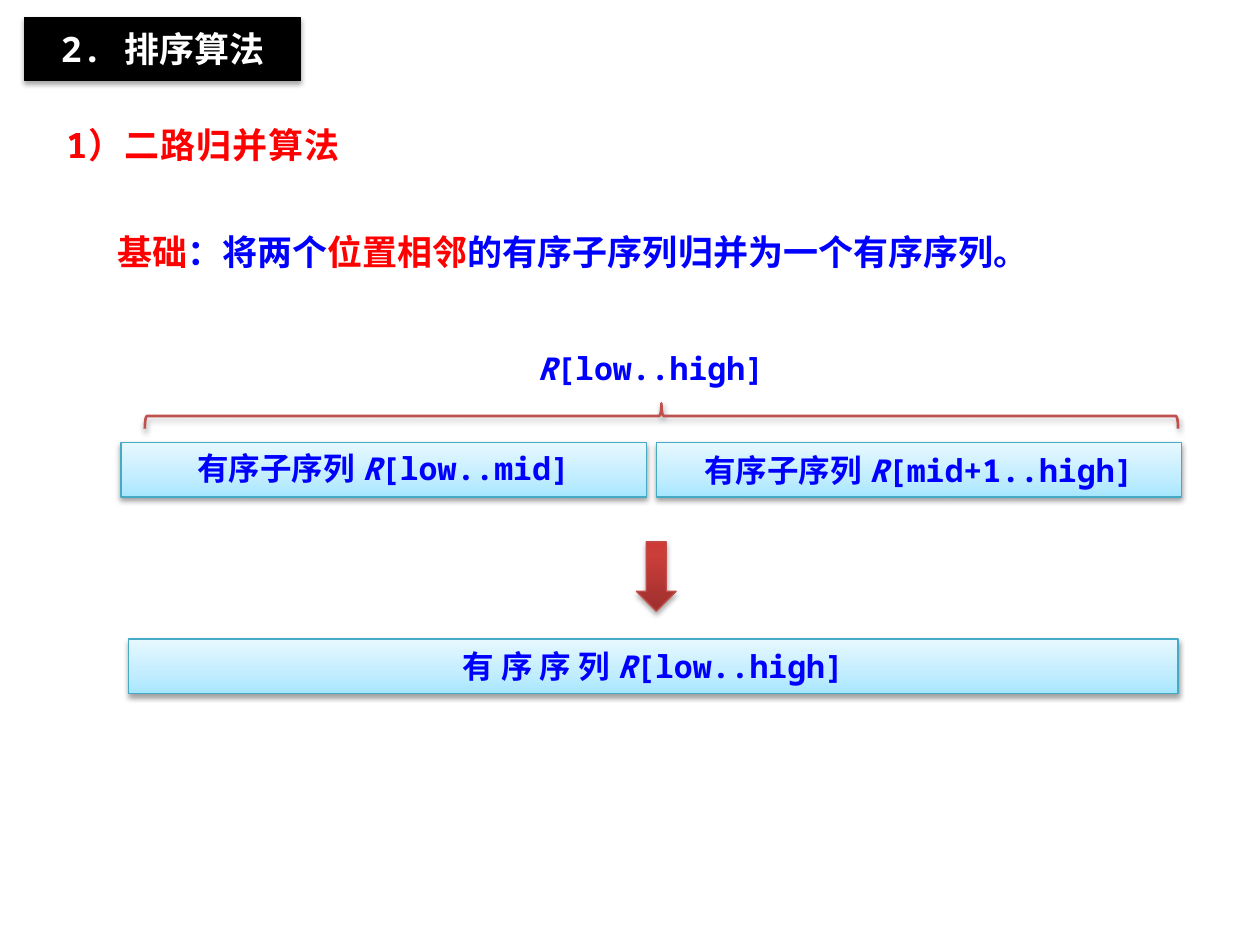
from typing import NamedTuple, Optional

from lxml import etree
from pptx import Presentation
from pptx import util as u
from pptx.dml.color import RGBColor
from pptx.enum import shapes, text
from pptx.oxml import parse_xml
from pptx.oxml.ns import nsdecls, qn

COLORS = {
    "black": "000000", "white": "FFFFFF", "red": "FF0000", "blue": "0000FF",
    "box_line": "46AAC5", "arrow_line": "BF4C48", "brace": "C0504D",
}
# Gradient stops as (percent, colour), running from bottom to top
BOX_GRADIENT = ((0, "A7E6FF"), (35, "C1EDFF"), (100, "E7F8FF"))
ARROW_GRADIENT = ((0, "9C2F2D"), (80, "CB3E3A"), (100, "CE3B37"))
MONO, CJK = "Noto Sans Mono", "Noto Sans CJK SC"
SHAPE, ALIGN, ANCHOR = shapes.MSO_SHAPE, text.PP_ALIGN, text.MSO_ANCHOR


class Run(NamedTuple):
    text: str
    color: str = "blue"
    italic: bool = False
    font: str = MONO


class Place(NamedTuple):
    """Left, top, width and height in centimetres."""
    left: float
    top: float
    width: float
    height: float

    def lengths(self) -> list:
        return [u.Cm(v) for v in self]


class SequenceBox(NamedTuple):
    place: Place
    label: str
    index: str
    anchor: text.MSO_ANCHOR = ANCHOR.MIDDLE
    wrap: bool = True


def write(sp, runs: list, *, size: float = 18, align=ALIGN.LEFT, anchor=ANCHOR.TOP,
          wrap: bool = True, line_spacing: Optional[float] = None,
          tracking: float = 0, inset: float = 0.13) -> None:
    """Fill a shape with one bold paragraph."""
    tf = sp.text_frame
    tf.word_wrap, tf.vertical_anchor = wrap, anchor
    tf.margin_top = tf.margin_bottom = u.Cm(inset)
    p = tf.paragraphs[0]
    p.alignment = align
    if line_spacing:
        p.line_spacing = line_spacing
    for item in runs:
        r = p.add_run()
        r.text = item.text
        f = r.font
        f.name, f.size, f.bold, f.italic = item.font, u.Pt(size), True, item.italic
        f.color.rgb = RGBColor.from_string(COLORS[item.color])
        rpr = r._r.get_or_add_rPr()
        etree.SubElement(rpr, qn("a:ea")).set("typeface", CJK)
        if tracking:
            rpr.set("spc", str(int(tracking * 100)))


def add_shape(s, kind, place: Place, line: str, *, fill: Optional[str] = None,
              gradient: tuple = (), line_width: float = 0.75,
              shadow_alpha: int = 38, shadow_distance: float = 1.6):
    """Draw a preset shape with a soft shadow below it."""
    sp = s.shapes.add_shape(kind, *place.lengths())
    sp.shadow.inherit = False
    if fill:
        sp.fill.solid()
        sp.fill.fore_color.rgb = RGBColor.from_string(COLORS[fill])
    else:
        sp.fill.background()
    sp.line.color.rgb = RGBColor.from_string(COLORS[line])
    sp.line.width = u.Pt(line_width)
    sp_pr = sp._element.spPr
    if gradient:
        stops = "".join(f'<a:gs pos="{pos * 1000}"><a:srgbClr val="{rgb}"/></a:gs>'
                        for pos, rgb in gradient)
        sp_pr.replace(sp_pr.find(qn("a:noFill")), parse_xml(
            f'<a:gradFill {nsdecls("a")} rotWithShape="1"><a:gsLst>{stops}</a:gsLst>'
            '<a:lin ang="16200000" scaled="0"/></a:gradFill>'))
    sp_pr.find(qn("a:effectLst")).append(parse_xml(
        f'<a:outerShdw {nsdecls("a")} blurRad="{u.Pt(3.1)}" dist="{u.Pt(shadow_distance)}" '
        f'dir="5400000" rotWithShape="0"><a:srgbClr val="{COLORS["black"]}">'
        f'<a:alpha val="{shadow_alpha * 1000}"/></a:srgbClr></a:outerShdw>'))
    return sp


def add_text(s, place: Place, runs: list, **fmt) -> None:
    write(s.shapes.add_textbox(*place.lengths()), runs, **fmt)


def add_sequence(s, box: SequenceBox) -> None:
    sp = add_shape(s, SHAPE.RECTANGLE, box.place, "box_line", gradient=BOX_GRADIENT)
    write(sp, [Run(box.label), Run("R", italic=True), Run(box.index)],
          align=ALIGN.CENTER, anchor=box.anchor, wrap=box.wrap)


def main() -> None:
    prs = Presentation()
    prs.slide_width, prs.slide_height = u.Cm(25.4), u.Cm(19.05)
    s = prs.slides.add_slide(prs.slide_layouts[6])

    # Headings
    title = add_shape(s, SHAPE.RECTANGLE, Place(0.5, 0.36, 5.56, 1.27), "black",
                      fill="black", shadow_alpha=35, shadow_distance=1.8)
    write(title, [Run("2. 排序算法", "white")], size=20, align=ALIGN.CENTER, inset=0.2)
    add_text(s, Place(1.09, 2.36, 6.81, 1.12), [Run("1）二路归并算法", "red")],
             size=20, tracking=0.5)
    add_text(s, Place(2.11, 4.52, 20.24, 1.12),
             [Run("基础", "red", font=CJK), Run("：将两个"), Run("位置相邻", "red"),
              Run("的有序子序列归并为一个有序序列。")], size=20)

    # Merged sequence and the two sorted halves
    half_left, half_width, gap = 2.44, 10.59, 0.2
    for box in (
        SequenceBox(Place(2.59, 12.88, 21.16, 1.1), "有 序 序 列 ", "[low..high]", wrap=False),
        SequenceBox(Place(half_left, 8.92, half_width, 1.1), "有序子序列 ", "[low..mid]",
                    ANCHOR.TOP),
        SequenceBox(Place(half_left + half_width + gap, 8.92, half_width, 1.1),
                    "有序子序列 ", "[mid+1..high]"),
    ):
        add_sequence(s, box)

    # Merge arrow
    add_shape(s, SHAPE.DOWN_ARROW, Place(12.83, 10.92, 0.8, 1.4), "arrow_line",
              gradient=ARROW_GRADIENT, shadow_alpha=35, shadow_distance=1.8)

    # Whole range, with a brace turned to point up at its label
    add_text(s, Place(10.44, 7.06, 5.36, 0.89), [Run("R", italic=True), Run("[low..high]")],
             align=ALIGN.CENTER, line_spacing=0.8)
    brace = add_shape(s, SHAPE.RIGHT_BRACE, Place(13.08, -2.03, 0.51, 20.83), "brace",
                      line_width=1.5)
    brace.rotation = 270

    prs.save("out.pptx")


if __name__ == "__main__":
    main()
